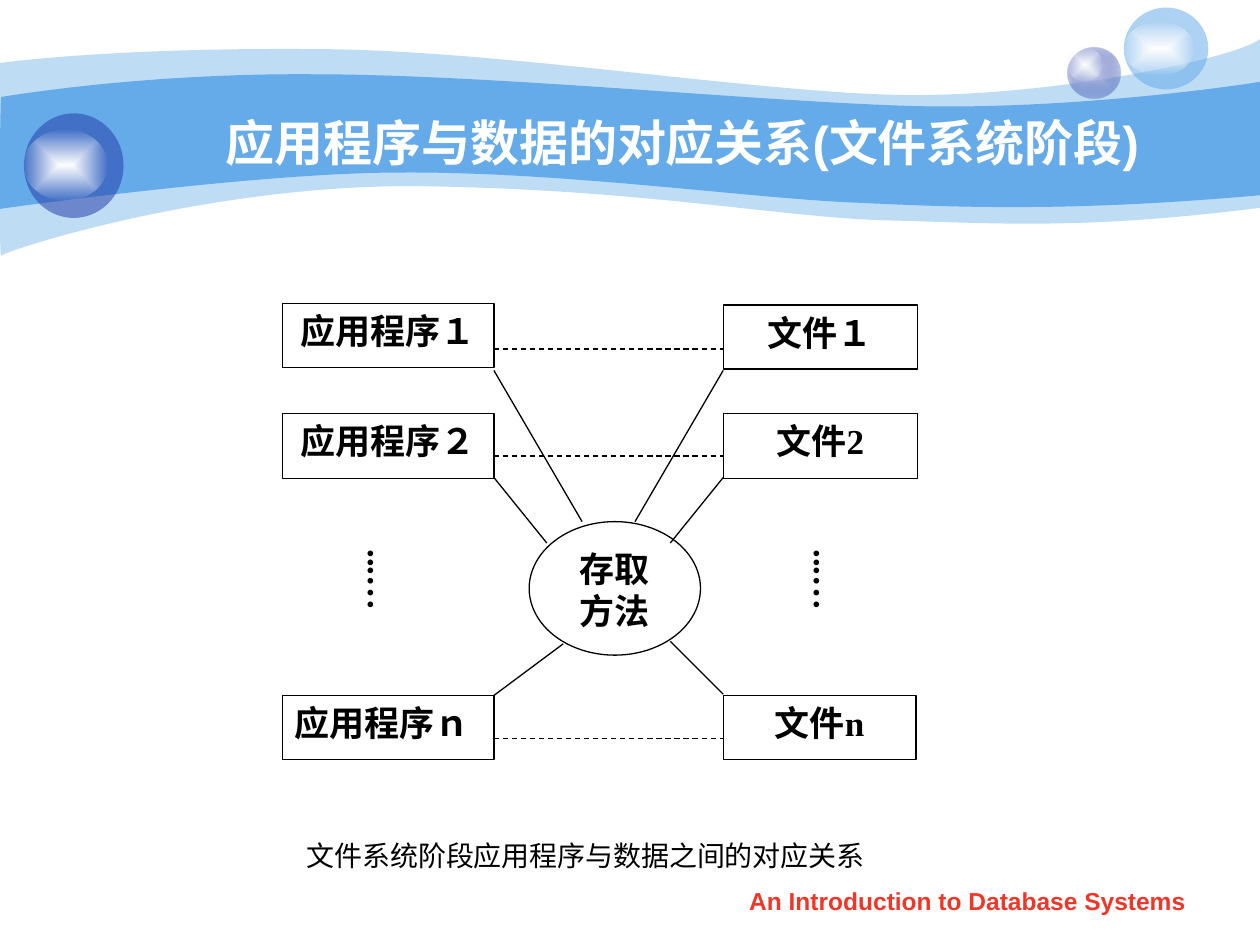
from dataclasses import dataclass

from lxml.etree import SubElement
from pptx import Presentation
from pptx.dml.color import RGBColor
from pptx.enum.dml import MSO_LINE
from pptx.enum.shapes import MSO_CONNECTOR, MSO_SHAPE
from pptx.enum.text import MSO_ANCHOR, PP_ALIGN
from pptx.oxml import parse_xml
from pptx.oxml.ns import nsdecls, qn
from pptx.util import Inches, Pt


@dataclass(frozen=True)
class Theme:
    sky: str = "65AAE9"
    navy: str = "233DA9"
    haze: str = "C6CCE8"
    white: str = "FFFFFF"
    glow: str = "FEFEFE"
    ink: str = "000000"
    red: str = "F03628"
    serif: str = "Times New Roman"
    sans: str = "Arial"
    title: int = 28
    label: int = 20
    caption: int = 16
    footer: int = 14
    line: float = 0.75


theme = Theme()


def paint(shape, stops):
    shape.shadow.inherit = False
    shape.line.fill.background()
    shape.fill.background()
    colors = [
        f'<a:srgbClr val="{color}"><a:alpha val="{opacity * 1000}"/></a:srgbClr>'
        for color, opacity in stops
    ]
    if len(colors) == 1:
        xml = f'<a:solidFill {nsdecls("a")}>{colors[0]}</a:solidFill>'
    else:
        xml = (
            f'<a:gradFill {nsdecls("a")} rotWithShape="1"><a:gsLst>'
            f'<a:gs pos="0">{colors[0]}</a:gs><a:gs pos="100000">{colors[1]}</a:gs>'
            '</a:gsLst><a:path path="rect">'
            '<a:fillToRect l="50000" t="50000" r="50000" b="50000"/>'
            '</a:path></a:gradFill>'
        )
    properties = shape._element.spPr
    properties.replace(properties.find(qn("a:noFill")), parse_xml(xml))


def write(shape, text, size, font=theme.serif, color=theme.ink, bold=True,
          align=PP_ALIGN.CENTER, anchor=MSO_ANCHOR.TOP, wrap=True):
    frame = shape.text_frame
    frame.word_wrap = wrap
    frame.vertical_anchor = anchor
    para = frame.paragraphs[0]
    para.alignment = align
    span = para.add_run()
    span.text = text
    span.font.size = Pt(size)
    span.font.name = font
    span.font.bold = bold
    span.font.color.rgb = RGBColor.from_string(color)


deck = Presentation()
deck.slide_width, deck.slide_height = Inches(10), Inches(7.5)
page = deck.slides.add_slide(deck.slide_layouts[6])

waves = [
    (41, (0, 0.5), [
        [(0.24, 0.47), (1.07, 0.38), (2.47, 0.39)],
        [(3.86, 0.39), (5.75, 0.7), (6.99, 0.75)],
        [(8.22, 0.8), (9.8, 0.47), (10, 0.31)],
        [(10, 1.65)],
        [(8.58, 1.83), (7.87, 1.77), (7.05, 1.75)],
        [(6.22, 1.73), (5.15, 1.51), (3.43, 1.48)],
        [(1.72, 1.44), (0.04, 1.99), (0.01, 2.03)],
        [(-0.01, 2.08), (0, 0.75), (0, 0.5)],
    ]),
    (100, (0.01, 0.77), [
        [(0.02, 0.77), (1.1, 0.58), (2.48, 0.59)],
        [(3.86, 0.59), (5.95, 0.8), (7.18, 0.84)],
        [(8.41, 0.88), (9.76, 0.69), (10, 0.65)],
        [(10, 1.55)],
        [(8.53, 1.68), (7.65, 1.65), (6.82, 1.61)],
        [(5.99, 1.58), (4.47, 1.36), (3.17, 1.37)],
        [(2.03, 1.37), (-0.02, 1.66), (-0.01, 1.66)],
        [(0, 1.66), (0, 0.77), (0.01, 0.77)],
    ]),
]
for opacity, start, segments in waves:
    builder = page.shapes.build_freeform(*map(Inches, start))
    builder.add_line_segments(
        [(Inches(x), Inches(y)) for segment in segments for x, y in segment], close=True
    )
    wave = builder.convert_to_shape()
    lines = iter(list(wave._element.iter(qn("a:lnTo"))))
    for segment in segments:
        group = [next(lines) for point in segment]
        if len(group) == 3:
            curve = parse_xml(f'<a:cubicBezTo {nsdecls("a")}/>')
            group[0].addprevious(curve)
            for line in group:
                curve.append(line[0])
                line.getparent().remove(line)
    paint(wave, [(theme.sky, opacity)])

shine = [(theme.white, 100), (theme.glow, 0)]
bubbles = [
    (8.47, 0.38, 0.42, 0.4, [(theme.haze, 100), (theme.navy, 31)]),
    (8.47, 0.38, 0.28, 0.27, shine),
    (8.92, 0.06, 0.67, 0.65, [(theme.sky, 53)]),
    (8.92, 0.17, 0.56, 0.43, shine),
    (0.19, 0.9, 0.79, 0.83, [(theme.navy, 53)]),
    (0.19, 1.03, 0.66, 0.56, shine),
]
for *place, stops in bubbles:
    paint(page.shapes.add_shape(MSO_SHAPE.OVAL, *map(Inches, place)), stops)

title = page.shapes.add_textbox(Inches(1.08), Inches(0.5), Inches(8.67), Inches(1.25))
write(title, "应用程序与数据的对应关系(文件系统阶段)", theme.title, theme.sans, theme.white,
      anchor=MSO_ANCHOR.MIDDLE)

program_left, program_right, file_left = 2.24, 3.92, 5.74
program_width = program_right - program_left
box, center = MSO_SHAPE.RECTANGLE, PP_ALIGN.CENTER
nodes = [
    (box, program_left, 2.41, program_width, 0.51, "应用程序１", center),
    (box, file_left, 2.42, 1.54, 0.51, "文件１", center),
    (box, program_left, 3.28, program_width, 0.52, "应用程序２", center),
    (box, file_left, 3.28, 1.54, 0.52, "文件2", center),
    (box, program_left, 5.52, program_width, 0.51, "应用程序ｎ", PP_ALIGN.JUSTIFY),
    (box, file_left, 5.52, 1.53, 0.51, "文件n", center),
    (MSO_SHAPE.OVAL, 4.2, 4.14, 1.36, 1.06, "存取方法", center),
]
for kind, left, top, width, height, text, align in nodes:
    node = page.shapes.add_shape(kind, *map(Inches, (left, top, width, height)))
    node.shadow.inherit = False
    node.fill.solid()
    node.fill.fore_color.rgb = RGBColor.from_string(theme.white)
    node.line.color.rgb = RGBColor.from_string(theme.ink)
    node.line.width = Pt(theme.line)
    write(node, text, theme.label, align=align)

links = [(program_right, y, file_left, y, True) for y in (2.77, 3.62, 5.86)]
links += [
    (program_right, 2.94, 4.62, 4.14, False),
    (file_left, 2.94, 5.04, 4.14, False),
    (program_right, 3.79, 4.34, 4.31, False),
    (file_left, 3.79, 5.32, 4.31, False),
    (program_right, 5.52, 4.47, 5.11, False),
    (file_left, 5.51, 5.32, 5.09, False),
]
for *ends, dashed in links:
    link = page.shapes.add_connector(MSO_CONNECTOR.STRAIGHT, *map(Inches, ends))
    link.line.color.rgb = RGBColor.from_string(theme.ink)
    link.line.width = Pt(theme.line)
    if dashed:
        link.line.dash_style = MSO_LINE.DASH
    SubElement(link._element.spPr, qn("a:effectLst"))

for left, height in ((2.72, 0.91), (6.26, 0.99)):
    dots = page.shapes.add_textbox(Inches(left), Inches(4.26), Inches(0.53), Inches(height))
    frame = dots.text_frame
    frame.margin_left = frame.margin_right = Inches(0.05)
    frame.margin_top = frame.margin_bottom = Inches(0.1)
    frame._txBody.bodyPr.set("vert", "eaVert")
    write(dots, "...…", theme.label)

caption = page.shapes.add_textbox(Inches(1.93), Inches(6.61), Inches(5.44), Inches(0.4))
write(caption, "文件系统阶段应用程序与数据之间的对应关系", theme.caption, bold=False, wrap=False)

footer = page.shapes.add_textbox(Inches(5.71), Inches(6.98), Inches(3.94), Inches(0.35))
write(footer, "An Introduction to Database Systems", theme.footer, theme.sans, theme.red)

deck.save("out.pptx")
